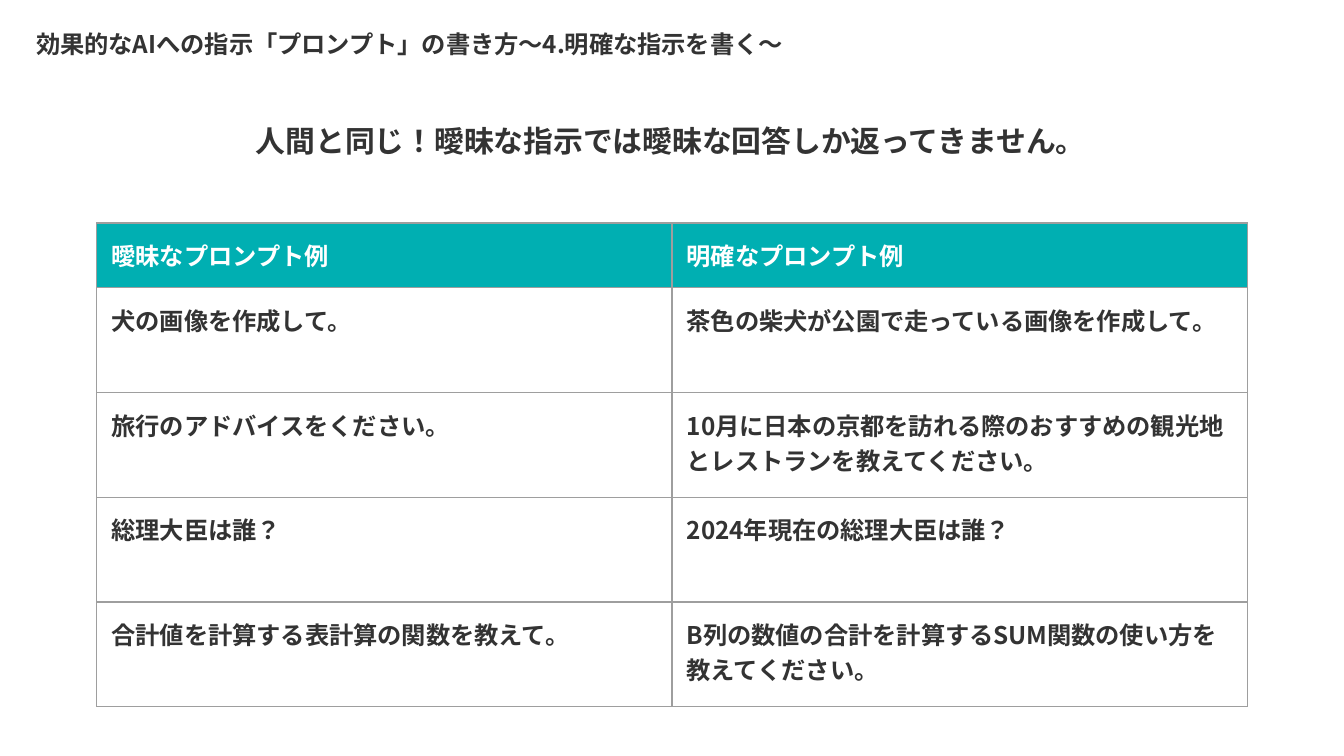
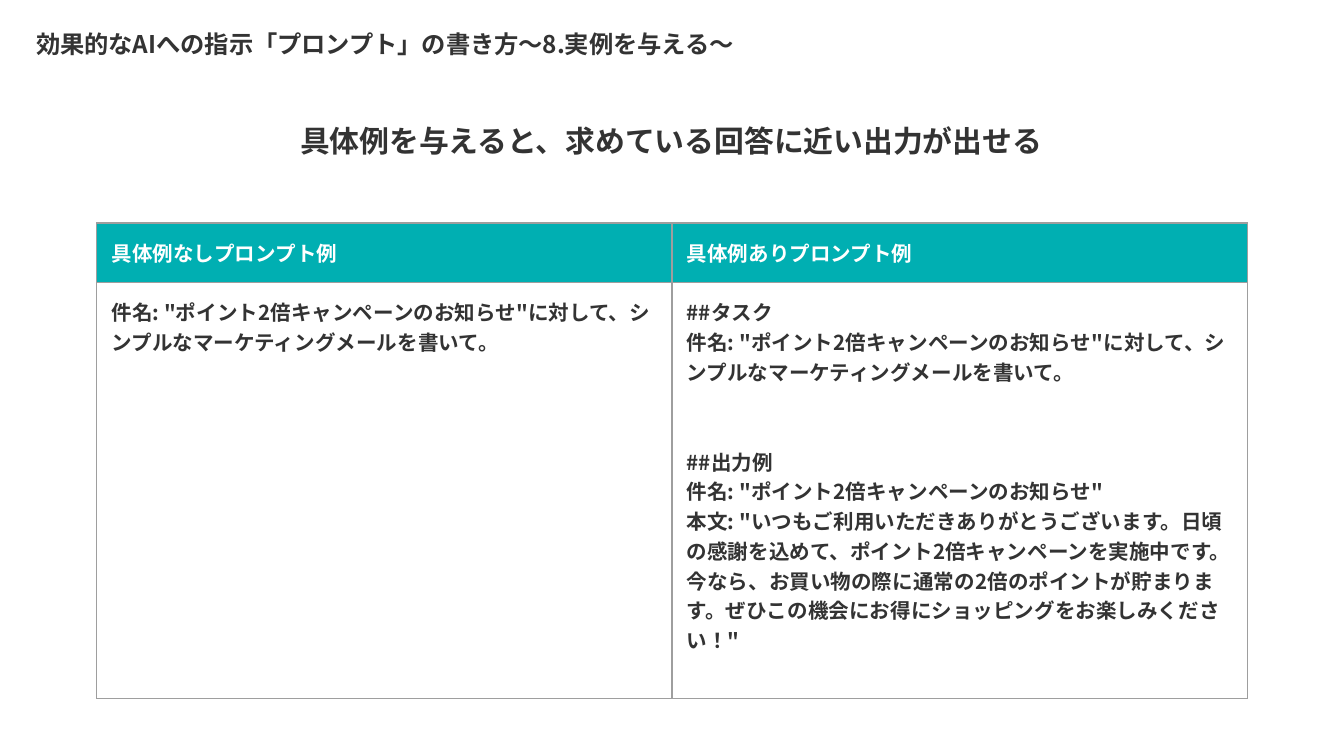
from dataclasses import dataclass

from lxml.etree import SubElement
from pptx import Presentation
from pptx.dml.color import RGBColor
from pptx.enum.lang import MSO_LANGUAGE_ID as Language
from pptx.enum.text import MSO_ANCHOR as Anchor, PP_ALIGN as Align
from pptx.oxml.ns import qn
from pptx.util import Inches, Pt


@dataclass(frozen=True)
class Theme:
    font: str = "Noto Sans CJK JP"
    ink: str = "333333"
    white: str = "FFFFFF"
    accent: str = "00AFB2"
    border: str = "9E9E9E"
    border_width: float = 0.75
    title_size: int = 13
    message_size: int = 16
    section_gap: int = 32


THEME = Theme()
SLIDE_WIDTH = 10
CELL_MARGIN = Inches(0.11)
COLUMN_WIDTH = 4.28

MAIL_SUBJECT = '件名: "ポイント2倍キャンペーンのお知らせ"'
MAIL_TASK = MAIL_SUBJECT + "に対して、シンプルなマーケティングメールを書いて。"
MAIL_BODY = (
    '本文: "いつもご利用いただきありがとうございます。'
    "日頃の感謝を込めて、ポイント2倍キャンペーンを実施中です。"
    "今なら、お買い物の際に通常の2倍のポイントが貯まります。"
    'ぜひこの機会にお得にショッピングをお楽しみください！"'
)

# Each table cell is a list of sections, and each section a list of paragraphs.
CLEAR_PROMPTS = [
    ([["曖昧なプロンプト例"]], [["明確なプロンプト例"]]),
    ([["犬の画像を作成して。"]], [["茶色の柴犬が公園で走っている画像を作成して。"]]),
    ([["旅行のアドバイスをください。"]],
     [["10月に日本の京都を訪れる際のおすすめの観光地とレストランを教えてください。"]]),
    ([["総理大臣は誰？"]], [["2024年現在の総理大臣は誰？"]]),
    ([["合計値を計算する表計算の関数を教えて。"]],
     [["B列の数値の合計を計算するSUM関数の使い方を教えてください。"]]),
]
EXAMPLE_PROMPTS = [
    ([["具体例なしプロンプト例"]], [["具体例ありプロンプト例"]]),
    ([[MAIL_TASK]],
     [["##タスク", MAIL_TASK], ["##出力例", MAIL_SUBJECT, MAIL_BODY]]),
]


def add_run(paragraph, text, size, color):
    run = paragraph.add_run()
    run.text = text
    font = run.font
    font.size = Pt(size)
    font.bold = True
    font.language_id = Language.JAPANESE
    font.color.rgb = RGBColor.from_string(color)
    font.name = THEME.font
    SubElement(font._element, qn("a:ea"), typeface=THEME.font)


def add_text(slide, box, text, size, line_spacing, align=Align.LEFT):
    frame = slide.shapes.add_textbox(*map(Inches, box)).text_frame
    frame.word_wrap = True
    frame.vertical_anchor = Anchor.MIDDLE
    frame.margin_left = frame.margin_right = Inches(0.11)
    frame.margin_top = frame.margin_bottom = Inches(0.05)
    paragraph = frame.paragraphs[0]
    paragraph.alignment = align
    paragraph.line_spacing = line_spacing
    add_run(paragraph, text, size, THEME.ink)


def set_borders(cell):
    properties = cell._tc.get_or_add_tcPr()
    for side in ("lnL", "lnR", "lnT", "lnB"):
        line = SubElement(properties, qn(f"a:{side}"), w=str(Pt(THEME.border_width)))
        fill = SubElement(line, qn("a:solidFill"))
        SubElement(fill, qn("a:srgbClr"), val=THEME.border)


def fill_cell(cell, sections, size, is_header):
    cell.margin_left = cell.margin_right = CELL_MARGIN
    cell.margin_top = cell.margin_bottom = CELL_MARGIN
    set_borders(cell)
    if is_header:
        cell.fill.solid()
        cell.fill.fore_color.rgb = RGBColor.from_string(THEME.accent)
    else:
        cell.fill.background()
    color = THEME.white if is_header else THEME.ink
    frame = cell.text_frame
    paragraph = None
    for section_index, section in enumerate(sections):
        for line_index, text in enumerate(section):
            paragraph = frame.add_paragraph() if paragraph else frame.paragraphs[0]
            if section_index and not line_index:
                paragraph.space_before = Pt(THEME.section_gap)
            add_run(paragraph, text, size, color)


def add_prompt_table(slide, rows, size, header_height, body_height):
    """Add a two-column comparison whose first row is the header."""
    heights = [header_height] + [body_height] * (len(rows) - 1)
    table = slide.shapes.add_table(
        len(rows), 2, Inches(0.72), Inches(1.66),
        Inches(2 * COLUMN_WIDTH), Inches(sum(heights)),
    ).table
    table.first_row = table.horz_banding = False
    for column in table.columns:
        column.width = Inches(COLUMN_WIDTH)
    for row_index, (row, height) in enumerate(zip(rows, heights)):
        table.rows[row_index].height = Inches(height)
        for column_index, sections in enumerate(row):
            fill_cell(table.cell(row_index, column_index), sections, size, row_index == 0)


def add_prompt_slide(presentation, topic, message, rows, **table_layout):
    slide = presentation.slides.add_slide(presentation.slide_layouts[6])
    title = f"効果的なAIへの指示「プロンプト」の書き方～{topic}～"
    add_text(slide, (0.16, 0.18, 6.83, 0.2), title, THEME.title_size, 1.42)
    add_text(slide, (0.95, 0.74, 8.09, 0.57), message, THEME.message_size, 1.13,
             Align.CENTER)
    add_prompt_table(slide, rows, **table_layout)


def main():
    presentation = Presentation()
    presentation.slide_width = Inches(SLIDE_WIDTH)
    presentation.slide_height = Inches(SLIDE_WIDTH * 9 / 16)
    add_prompt_slide(presentation, "4.明確な指示を書く",
                     "人間と同じ！曖昧な指示では曖昧な回答しか返ってきません。",
                     CLEAR_PROMPTS, size=13, header_height=0.48, body_height=0.78)
    add_prompt_slide(presentation, "8.実例を与える",
                     "具体例を与えると、求めている回答に近い出力が出せる",
                     EXAMPLE_PROMPTS, size=11, header_height=0.44, body_height=3.1)
    presentation.save("out.pptx")


if __name__ == "__main__":
    main()
